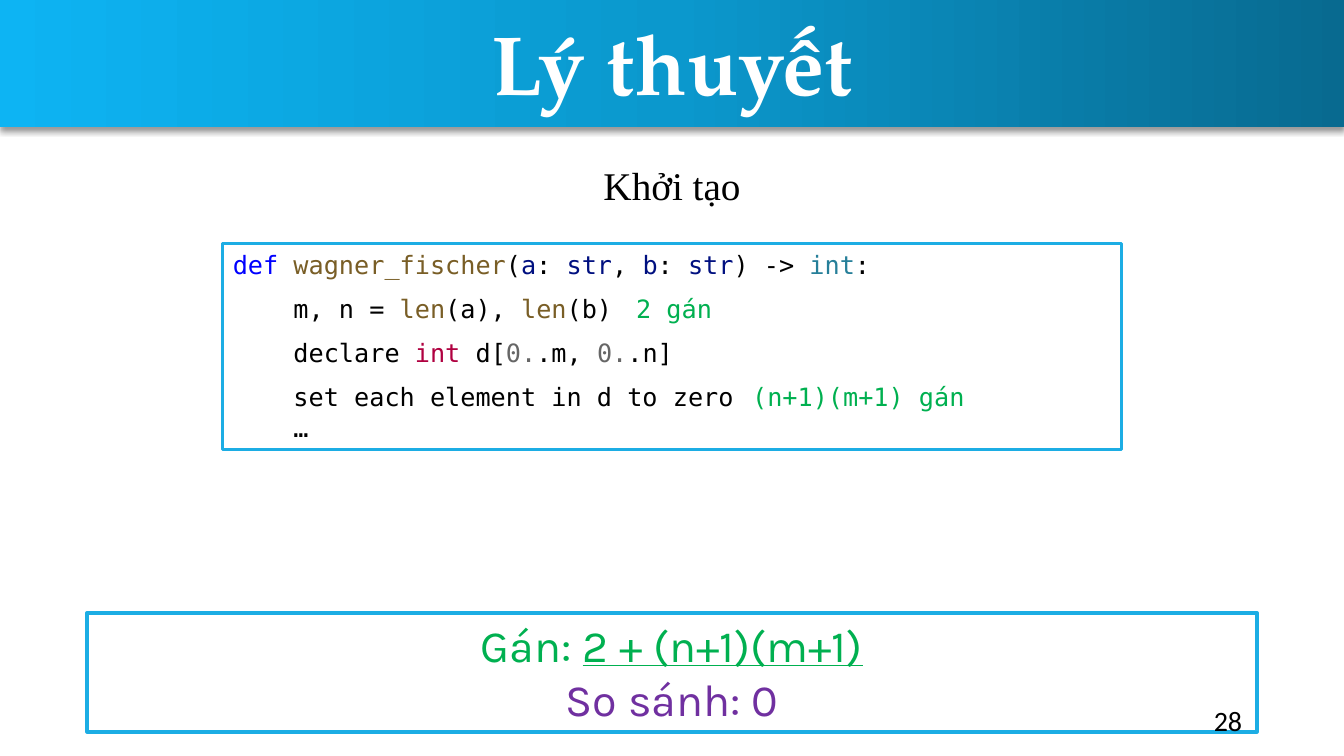
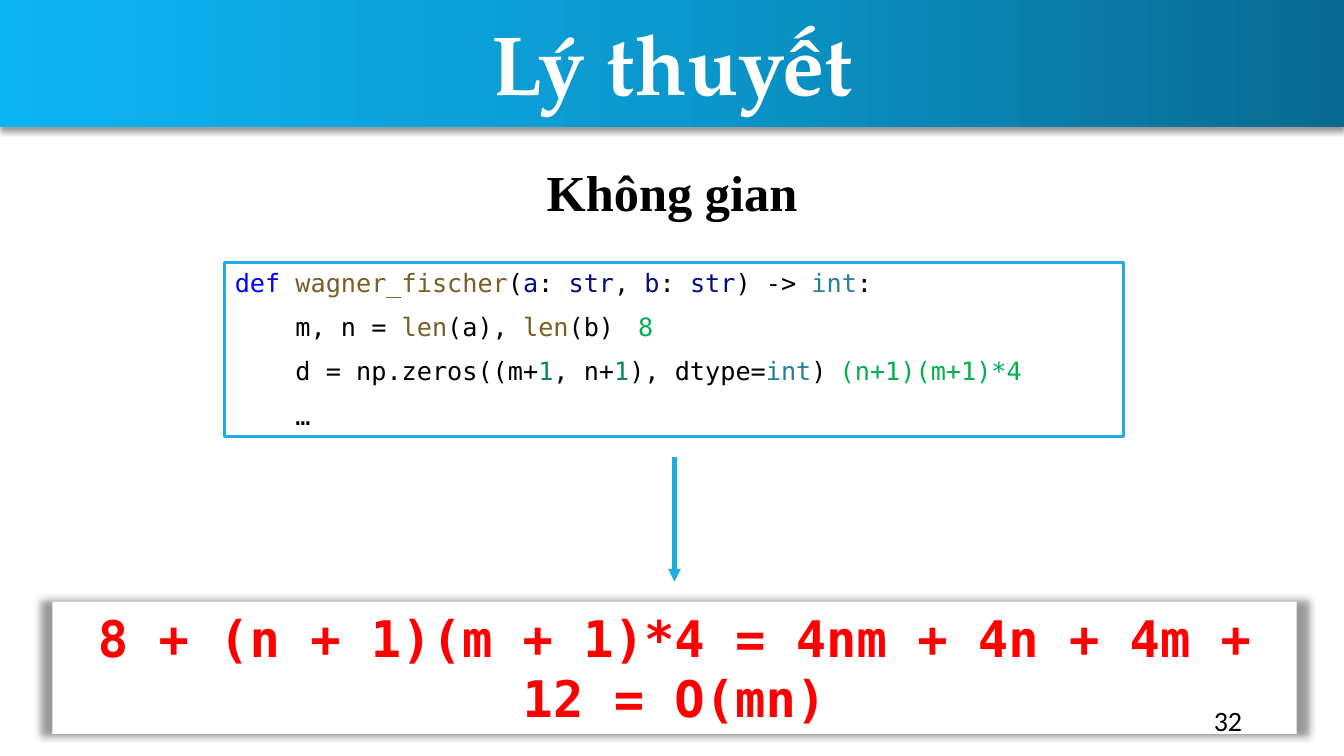
from dataclasses import dataclass

from lxml.etree import SubElement
from pptx import Presentation
from pptx.dml.color import RGBColor
from pptx.enum.shapes import MSO_CONNECTOR, MSO_SHAPE
from pptx.enum.text import MSO_ANCHOR, MSO_AUTO_SIZE, PP_ALIGN
from pptx.oxml.ns import qn
from pptx.util import Inches, Pt


@dataclass(frozen=True)
class Theme:
    accent: str = "1CADE4"
    white: str = "FFFFFF"
    black: str = "000000"
    green: str = "00B050"
    purple: str = "7030A0"
    red: str = "FF0000"
    keyword: str = "0000FF"
    function: str = "795E26"
    parameter: str = "001080"
    builtin: str = "267F99"
    declared: str = "B00040"
    literal: str = "666666"
    number: str = "09885A"
    band: tuple = ((0, "086A90"), (50, "0B98CD"), (100, "0DB4F3"))
    title_font: str = "TeX Gyre Pagella"
    heading_font: str = "Times New Roman"
    result_font: str = "Karla"
    code_font: str = "DejaVu Sans Mono"
    page_font: str = "Calibri"
    title_size: int = 60
    heading_size: int = 28
    strong_size: int = 36
    result_size: int = 32
    code_size: int = 18
    page_size: int = 20
    code_gap: int = 10


T = Theme()


def add_node(parent, tag, **attrs):
    return SubElement(parent, qn(tag), {k: str(v) for k, v in attrs.items()})


def set_all(target, values):
    for name, value in values.items():
        setattr(target, name, value)


def add_color(parent, color, alpha=None):
    node = add_node(parent, "a:srgbClr", val=color)
    if alpha:
        add_node(node, "a:alpha", val=alpha * 1000)


class Deck:
    """Holds the presentation and current slide; lengths are percent of the slide."""

    def __init__(self, width, height):
        self.prs = Presentation()
        self.prs.slide_width, self.prs.slide_height = Inches(width), Inches(height)
        self.s = None

    def x(self, share):
        return round(self.prs.slide_width * share / 100)

    def y(self, share):
        return round(self.prs.slide_height * share / 100)

    def frame(self, top, width, height, left=None):
        """Turn shares into a position; without left, centre on the slide."""
        left = (100 - width) / 2 if left is None else left
        return self.x(left), self.y(top), self.x(width), self.y(height)

    def new_slide(self, title):
        self.s = self.prs.slides.add_slide(self.prs.slide_layouts[6])
        self.band()
        self.text((0.93, 100, 14.8), [[(title, T.white)]],
                  {"name": T.title_font, "size": Pt(T.title_size), "bold": True})

    def band(self):
        sp = self.box((0, 100, 16.8), fill=None)
        grad = add_node(sp._element.spPr, "a:gradFill", rotWithShape=1)
        stops = add_node(grad, "a:gsLst")
        for pos, color in T.band:
            add_color(add_node(stops, "a:gs", pos=pos * 1000), color)
        add_node(grad, "a:lin", ang=180 * 60000, scaled=0)
        sp._element.spPr.insert(2, grad)
        self.shadow(sp, blur=4, dist=3, dir=90 * 60000, algn="t")

    def box(self, area, fill=T.white, line=None):
        sp = self.s.shapes.add_shape(MSO_SHAPE.RECTANGLE, *self.frame(*area))
        sp.shadow.inherit = False
        if fill:
            sp.fill.solid()
            sp.fill.fore_color.rgb = RGBColor.from_string(fill)
        if line:
            sp.line.color.rgb = RGBColor.from_string(T.accent)
            sp.line.width = Pt(line)
        else:
            sp.line.fill.background()
        return sp

    def shadow(self, sp, blur, dist=0, **attrs):
        effects = sp._element.spPr.find(qn("a:effectLst"))
        node = add_node(effects, "a:outerShdw", blurRad=Pt(blur), dist=Pt(dist),
                        rotWithShape=0, **attrs)
        add_color(node, T.black, alpha=40)

    def text(self, area, lines, font, **frame):
        tb = self.s.shapes.add_textbox(*self.frame(*area))
        self.put_lines(tb, lines, font, **frame)

    def put_lines(self, sp, lines, font, align=PP_ALIGN.CENTER, gaps=None, **frame):
        """Fill a shape with lines of (text, colour[, font values]) runs."""
        tf = sp.text_frame
        set_all(tf, {"word_wrap": True, "vertical_anchor": MSO_ANCHOR.TOP,
                     "auto_size": MSO_AUTO_SIZE.SHAPE_TO_FIT_TEXT, **frame})
        for i, line in enumerate(lines):
            p = tf.add_paragraph() if i else tf.paragraphs[0]
            p.alignment = align
            if gaps:
                p.space_after = Pt(gaps[i])
            for text, color, *extra in line:
                r = p.add_run()
                r.text = text
                r.font.color.rgb = RGBColor.from_string(color)
                for values in (font, *extra):
                    set_all(r.font, values)

    def heading(self, text, height, size, bold=False):
        self.text((20.67, 87, height), [[(text, T.black)]],
                  {"name": T.heading_font, "size": Pt(size), "bold": bold})

    def code(self, area, lines, tight=()):
        """Draw a code box; lines whose index is in tight get no gap after."""
        gaps = [0 if i in tight else T.code_gap for i in range(len(lines))]
        self.put_lines(self.box(area, line=2.25), lines,
                       {"name": T.code_font, "size": Pt(T.code_size)},
                       align=PP_ALIGN.LEFT, gaps=gaps)

    def result(self, area, lines):
        self.put_lines(self.box(area, line=3), lines,
                       {"name": T.result_font, "size": Pt(T.result_size)})

    def conclusion(self, area, text):
        sp = self.box(area)
        self.shadow(sp, blur=5, sx=102000, sy=102000, algn="ctr")
        self.put_lines(sp, [[(text, T.red)]],
                       {"name": T.code_font, "size": Pt(T.strong_size), "bold": True})

    def down_arrow(self, x, top, bottom):
        c = self.s.shapes.add_connector(MSO_CONNECTOR.STRAIGHT, self.x(x), self.y(top),
                                        self.x(x), self.y(bottom))
        c.line.color.rgb = RGBColor.from_string(T.accent)
        c.line.width = Pt(3)
        spPr = c._element.spPr
        add_node(spPr.find(qn("a:ln")), "a:tailEnd", type="triangle")
        add_node(spPr, "a:effectLst")

    def page_number(self, number):
        self.text((92.67, 22.5, 5.33, 70.67), [[(str(number), T.black)]],
                  {"name": T.page_font, "size": Pt(T.page_size)},
                  align=PP_ALIGN.RIGHT, vertical_anchor=MSO_ANCHOR.MIDDLE,
                  auto_size=MSO_AUTO_SIZE.NONE)


SIGNATURE = [
    ("def ", T.keyword), ("wagner_fischer", T.function), ("(", T.black),
    ("a", T.parameter), (": ", T.black), ("str", T.parameter), (", ", T.black),
    ("b", T.parameter), (": ", T.black), ("str", T.parameter), (") -> ", T.black),
    ("int", T.builtin), (":", T.black),
]
ELLIPSIS = [("    …", T.black)]


def lengths_line(cost):
    return [("    m, n = ", T.black), ("len", T.function), ("(a), ", T.black),
            ("len", T.function), ("(b)\t", T.black), (cost, T.green)]


def initialisation_slide(deck):
    deck.new_slide("Lý thuyết")
    deck.heading("Khởi tạo", 7.6, T.heading_size)
    deck.result((81.07, 87, 15.73), [
        [("Gán: ", T.green), ("2 + (n+1)(m+1)", T.green, {"underline": True})],
        [("So sánh: 0", T.purple)],
    ])
    deck.code((32.27, 66.84, 27.2), [
        SIGNATURE,
        lengths_line("2 gán"),
        [("    declare ", T.black), ("int ", T.declared), ("d[", T.black),
         ("0.", T.literal), (".m, ", T.black), ("0.", T.literal), (".n]", T.black)],
        [("    set each element in d to zero\t", T.black),
         (" (n+1)(m+1) gán", T.green)],
        ELLIPSIS,
    ], tight=(3,))
    deck.page_number(28)


def space_slide(deck):
    deck.new_slide("Lý thuyết")
    deck.heading("Không gian", 9.47, T.strong_size, bold=True)
    deck.conclusion((79.6, 92.57, 17.47, 3.9),
                    "8 + (n + 1)(m + 1)*4 = 4nm + 4n + 4m + 12 = O(mn)")
    deck.code((34.67, 66.84, 23.07, 16.73), [
        SIGNATURE,
        lengths_line("8"),
        [("    d = np.zeros((m+", T.black), ("1", T.number), (", n+", T.black),
         ("1", T.number), ("), dtype=", T.black), ("int", T.builtin),
         (")\t", T.black), ("(n+1)(m+1)*4", T.green)],
        ELLIPSIS,
    ])
    deck.down_arrow(50.19, 60.4, 76.93)
    deck.page_number(32)


def main():
    deck = Deck(13.33, 7.5)
    initialisation_slide(deck)
    space_slide(deck)
    deck.prs.save("out.pptx")


if __name__ == "__main__":
    main()
